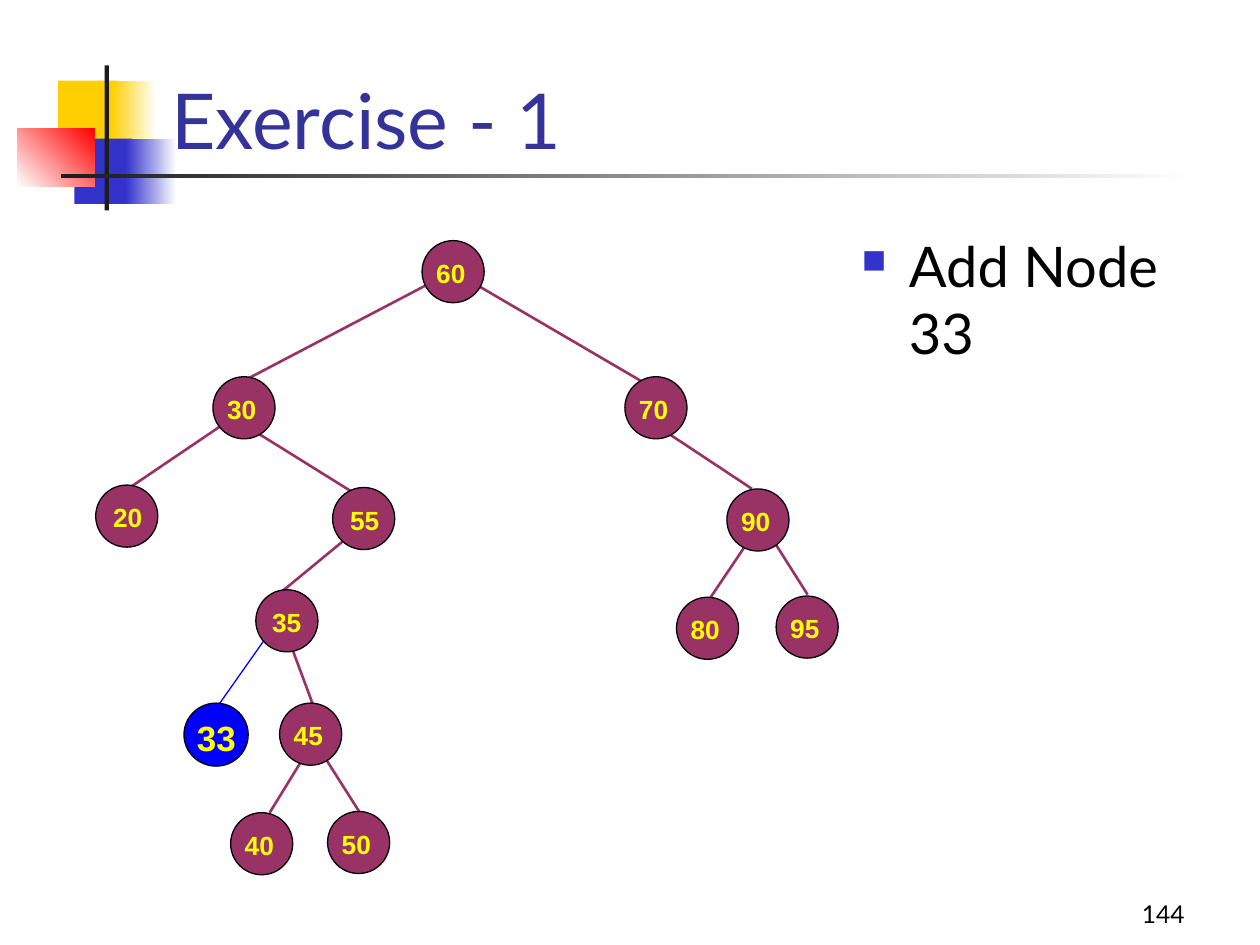
from dataclasses import dataclass
from typing import NamedTuple, Optional

from lxml import etree
from pptx import Presentation
from pptx.dml.color import RGBColor
from pptx.enum import shapes, text
from pptx.oxml.ns import qn
from pptx.util import Pt

YELLOW = RGBColor(0xFF, 0xCF, 0x01)
BLUE = RGBColor(0x33, 0x33, 0xCC)
RED = RGBColor(0xFF, 0x00, 0x00)
CHARCOAL = RGBColor(0x1C, 0x1C, 0x1C)
WHITE = RGBColor(0xFF, 0xFF, 0xFF)
BLACK = RGBColor(0x00, 0x00, 0x00)
TITLE_BLUE = RGBColor(0x33, 0x33, 0x99)
PLUM = RGBColor(0x99, 0x33, 0x66)
NEW_BLUE = RGBColor(0x00, 0x00, 0xFF)
KEY_YELLOW = RGBColor(0xFF, 0xFF, 0x00)


class Box(NamedTuple):
    left: float
    top: float
    width: float
    height: float


@dataclass
class Band:
    box: Box
    color: RGBColor
    end: Optional[RGBColor] = None
    angle: float = 0


@dataclass
class Node:
    key: int
    left: float
    top: float
    label_dx: float = 2.4


@dataclass
class NodeStyle:
    width: float
    height: float
    fill: RGBColor
    label: Box  # width, height and vertical shift of the key; left is added per node
    inset: float
    size: float


class Edge(NamedTuple):
    x1: float
    y1: float
    x2: float
    y2: float


BANDS = [
    Band(Box(33.1, 46.1, 34.6, 37.4), YELLOW),
    Band(Box(63.4, 46.1, 25.9, 37.4), YELLOW, WHITE),
    Band(Box(42.5, 79.2, 33.1, 37.4), BLUE),
    Band(Box(72, 79.2, 28.8, 37.4), BLUE, WHITE),
    Band(Box(10.1, 73.4, 43.9, 33.1), WHITE, RED, 45),
    Band(Box(59.8, 37.4, 2.4, 82.8), CHARCOAL),
    Band(Box(34.6, 99.4, 648, 2.4), CHARCOAL, WHITE),
]

PLAIN = NodeStyle(35.5, 35.5, PLUM, Box(0, 5, 28, 26), 4.3, 15)
ADDED = NodeStyle(36.7, 36, NEW_BLUE, Box(0, 1.4, 24, 20), 6.5, 20)

NODES = [
    Node(60, 241.2, 137.5),
    Node(30, 121.7, 215.3),
    Node(70, 357.1, 215.3),
    Node(20, 54.7, 277.2, 4.3),
    Node(55, 190.1, 278.6, 4.3),
    Node(35, 146.2, 337, 3.6),
    Node(90, 415.4, 279.4),
    Node(80, 386.6, 341.3),
    Node(95, 443.5, 340.6),
    Node(45, 159.8, 401.8),
    Node(40, 131.8, 464.4),
    Node(50, 187.2, 463.7),
]
NEW_NODE = Node(33, 105.1, 401.8, 6.5)

EDGES = [
    Edge(244.1, 162.7, 139.7, 217.4),  # 60 - 30
    Edge(272.2, 162.7, 365.8, 217.4),  # 60 - 70
    Edge(127.4, 242.6, 74.2, 278.6),   # 30 - 20
    Edge(144, 245.5, 203, 282.2),      # 30 - 55
    Edge(383, 248.4, 429.8, 279.4),    # 70 - 90
    Edge(197.3, 308.2, 159.8, 339.1),  # 55 - 35
    Edge(425.5, 312.5, 406.1, 341.3),  # 90 - 80
    Edge(442.8, 310.3, 461.5, 339.8),  # 90 - 95
    Edge(167, 370.8, 179.3, 403.9),    # 35 - 45
    Edge(171.4, 436.3, 154.1, 464.4),  # 45 - 40
    Edge(186.5, 434.2, 205.2, 463.7),  # 45 - 50
]
NEW_EDGE = Edge(150.5, 366.5, 123.1, 405.4)


def points(values) -> list:
    return [Pt(value) for value in values]


def write(frame, words: str, font: dict, align=text.PP_ALIGN.LEFT):
    """Put one formatted paragraph in a text frame and return it."""
    paragraph = frame.paragraphs[0]
    paragraph.alignment = align
    run = paragraph.add_run()
    run.text = words
    for name, value in font.items():
        if name == "color":
            run.font.color.rgb = value
        else:
            setattr(run.font, name, value)
    return paragraph


def add_text(slide, box: Box, words: str, font: dict, align=text.PP_ALIGN.LEFT, **frame_format):
    frame = slide.shapes.add_textbox(*points(box)).text_frame
    for name, value in {"word_wrap": True, **frame_format}.items():
        setattr(frame, name, value)
    return write(frame, words, font, align)


def add_band(slide, band: Band) -> None:
    block = slide.shapes.add_shape(shapes.MSO_SHAPE.RECTANGLE, *points(band.box))
    block.shadow.inherit = False
    block.line.fill.background()
    if band.end is None:
        block.fill.solid()
        block.fill.fore_color.rgb = band.color
        return
    block.fill.gradient()
    block.fill.gradient_angle = band.angle
    for stop, color in zip(block.fill.gradient_stops, (band.color, band.end)):
        stop.color.rgb = color


def add_edge(slide, edge: Edge, color: RGBColor = PLUM, width: float = 1.5) -> None:
    branch = slide.shapes.add_connector(shapes.MSO_CONNECTOR.STRAIGHT, *points(edge))
    branch.line.color.rgb = color
    branch.line.width = Pt(width)
    etree.SubElement(branch.element.spPr, qn("a:effectLst"))


def add_node(slide, node: Node, style: NodeStyle = PLAIN) -> None:
    circle = slide.shapes.add_shape(
        shapes.MSO_SHAPE.FLOWCHART_CONNECTOR,
        *points((node.left, node.top, style.width, style.height)))
    circle.shadow.inherit = False
    circle.fill.solid()
    circle.fill.fore_color.rgb = style.fill
    circle.line.color.rgb = BLACK
    circle.line.width = Pt(0.75)
    label = style.label._replace(left=node.left + node.label_dx,
                                 top=node.top + style.label.top)
    key_font = {"name": "Arial", "size": Pt(style.size), "bold": True, "color": KEY_YELLOW}
    add_text(slide, label, str(node.key), key_font, text.PP_ALIGN.CENTER,
             margin_left=0, margin_right=0,
             margin_top=Pt(style.inset), margin_bottom=Pt(style.inset))


def add_square_bullet(paragraph, indent: float) -> None:
    props = paragraph._p.get_or_add_pPr()
    props.set("marL", str(Pt(indent)))
    props.set("indent", str(-Pt(indent)))
    color = etree.SubElement(props, qn("a:buClr"))
    etree.SubElement(color, qn("a:srgbClr"), val=str(BLUE))
    etree.SubElement(props, qn("a:buSzPct"), val="60000")
    etree.SubElement(props, qn("a:buChar"), char="■")


def lato(size: float, color: RGBColor = BLACK) -> dict:
    return {"name": "Lato", "size": Pt(size), "color": color}


def main() -> None:
    deck = Presentation()
    deck.slide_width, deck.slide_height = Pt(720), Pt(540)
    slide = deck.slides.add_slide(deck.slide_layouts[5])

    for band in BANDS:
        add_band(slide, band)

    title = slide.shapes.title
    title.left, title.top, title.width, title.height = points(Box(90.7, 7.9, 613.4, 90))
    title.text_frame.vertical_anchor = text.MSO_ANCHOR.BOTTOM
    write(title.text_frame, "Exercise - 1", lato(44, TITLE_BLUE))

    task = add_text(slide, Box(485.3, 128.9, 219.6, 353.5), "Add Node 33", lato(32))
    add_square_bullet(task, 27)
    add_text(slide, Box(534.2, 498.2, 149.8, 36), "144", lato(14), text.PP_ALIGN.RIGHT,
             vertical_anchor=text.MSO_ANCHOR.BOTTOM)

    for edge in EDGES:
        add_edge(slide, edge)
    add_edge(slide, NEW_EDGE, NEW_BLUE, 0.75)
    for node in NODES:
        add_node(slide, node)
    add_node(slide, NEW_NODE, ADDED)

    deck.save("out.pptx")


if __name__ == "__main__":
    main()
